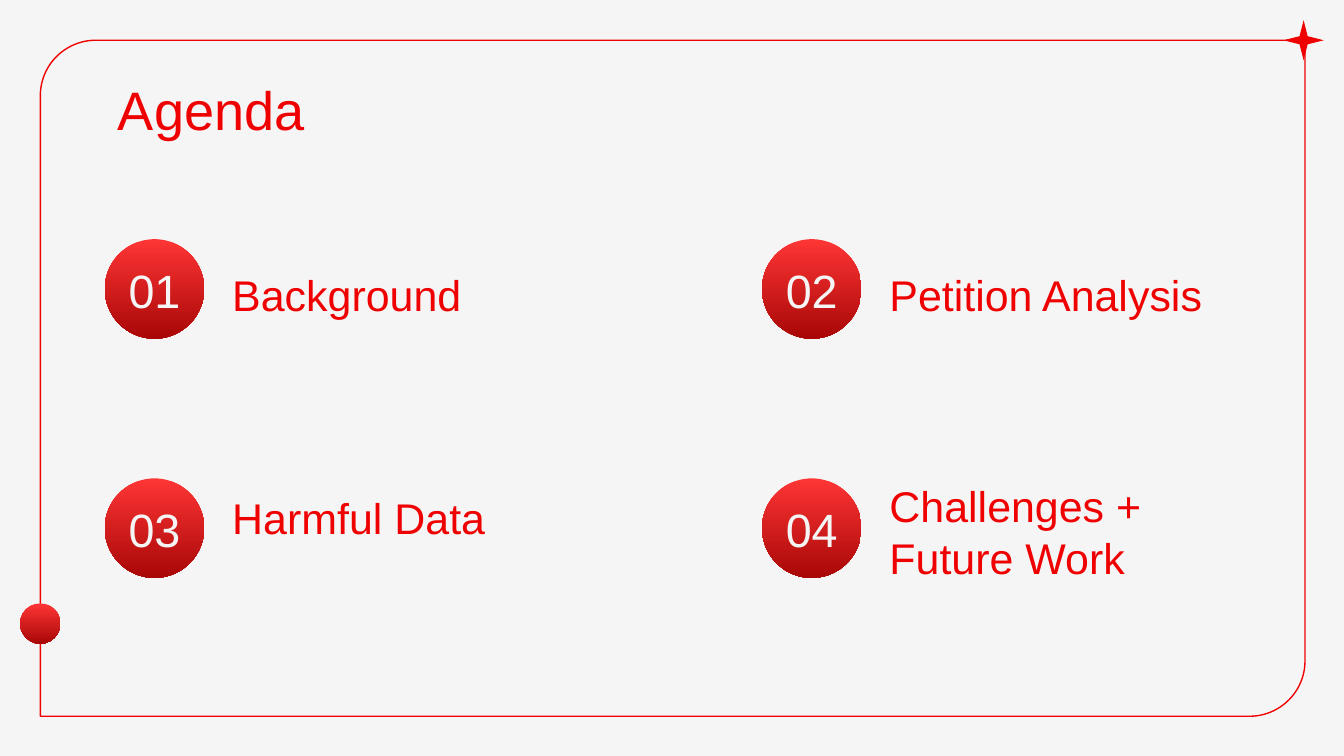
from pptx import Presentation
from pptx import util as u
from pptx.dml.color import RGBColor
from pptx.enum import shapes, text

COLORS = {"paper": "F5F5F5", "red": "F00101", "light": "FE3535", "dark": "A90707"}
FONT = "Arial"
CIRCLE = 0.74
TEXT_H = 0.51


def rgb(name):
    return RGBColor.from_string(COLORS[name])


def add_text(s, content, x, y, w, size=23, color="red",
             align=text.PP_ALIGN.LEFT, anchor=text.MSO_ANCHOR.TOP):
    box = s.shapes.add_textbox(u.Inches(x), u.Inches(y), u.Inches(w), u.Inches(TEXT_H))
    tf = box.text_frame
    tf.word_wrap = True
    tf.vertical_anchor = anchor
    tf.margin_left = tf.margin_right = tf.margin_top = tf.margin_bottom = u.Inches(0.1)
    p = tf.paragraphs[0]
    p.alignment = align
    r = p.add_run()
    r.text = content
    r.font.name = FONT
    r.font.size = u.Pt(size)
    r.font.color.rgb = rgb(color)


def add_circle(s, x, y, d):
    sp = s.shapes.add_shape(shapes.MSO_SHAPE.OVAL, u.Inches(x), u.Inches(y),
                            u.Inches(d), u.Inches(d))
    sp.shadow.inherit = False
    sp.line.fill.background()
    sp.fill.gradient()
    sp.fill.gradient_angle = 270
    for stop, name in zip(sp.fill.gradient_stops, ("light", "dark")):
        stop.color.rgb = rgb(name)


def add_frame(s):
    sp = s.shapes.add_shape(shapes.MSO_SHAPE.ROUND_2_DIAG_RECTANGLE, u.Inches(0.3),
                            u.Inches(0.3), u.Inches(9.41), u.Inches(5.03))
    sp.adjustments[0] = 0.082
    sp.adjustments[1] = 0
    sp.shadow.inherit = False
    sp.fill.background()
    sp.line.color.rgb = rgb("red")
    sp.line.width = u.Pt(0.75)


def add_star(s, cx, cy, outer, inner):
    # Tips and notches alternate, starting at the top tip
    steps = [(0, -outer), (-inner, -inner), (-outer, 0), (-inner, inner),
             (0, outer), (inner, inner), (outer, 0), (inner, -inner)]
    points = [(u.Inches(cx + dx), u.Inches(cy + dy)) for dx, dy in steps]
    fb = s.shapes.build_freeform(*points[0])
    fb.add_line_segments(points[1:], close=True)
    sp = fb.convert_to_shape()
    sp.shadow.inherit = False
    sp.fill.solid()
    sp.fill.fore_color.rgb = rgb("red")
    sp.line.fill.background()


def add_item(s, number, label, x, y, label_y, label_w=2.7):
    add_circle(s, x, y, CIRCLE)
    add_text(s, number, x, y + 0.12, CIRCLE, size=25, color="paper",
             align=text.PP_ALIGN.CENTER, anchor=text.MSO_ANCHOR.MIDDLE)
    add_text(s, label, x + 0.85, label_y, label_w)


def main():
    prs = Presentation()
    # Widescreen, 16:9
    prs.slide_width = u.Inches(10)
    prs.slide_height = prs.slide_width * 9 // 16
    s = prs.slides.add_slide(prs.slide_layouts[6])
    s.background.fill.solid()
    s.background.fill.fore_color.rgb = rgb("paper")

    # Frame with its ornaments
    add_frame(s)
    add_circle(s, 0.15, 4.49, 0.3)
    add_star(s, 9.7, 0.3, outer=0.15, inner=0.03)

    # Title
    add_text(s, "Agenda", 0.78, 0.47, 8.44, size=29)

    # Agenda items in two columns and two rows
    left, right = 0.78, 5.67
    upper, lower = 1.78, 3.56
    add_item(s, "01", "Background", left, upper, label_y=1.9)
    add_item(s, "02", "Petition Analysis", right, upper, label_y=1.9)
    add_item(s, "03", "Harmful Data", left, lower, label_y=3.56)
    add_item(s, "04", "Challenges + Future Work", right, lower, label_y=3.47, label_w=2.87)

    prs.save("out.pptx")


if __name__ == "__main__":
    main()
